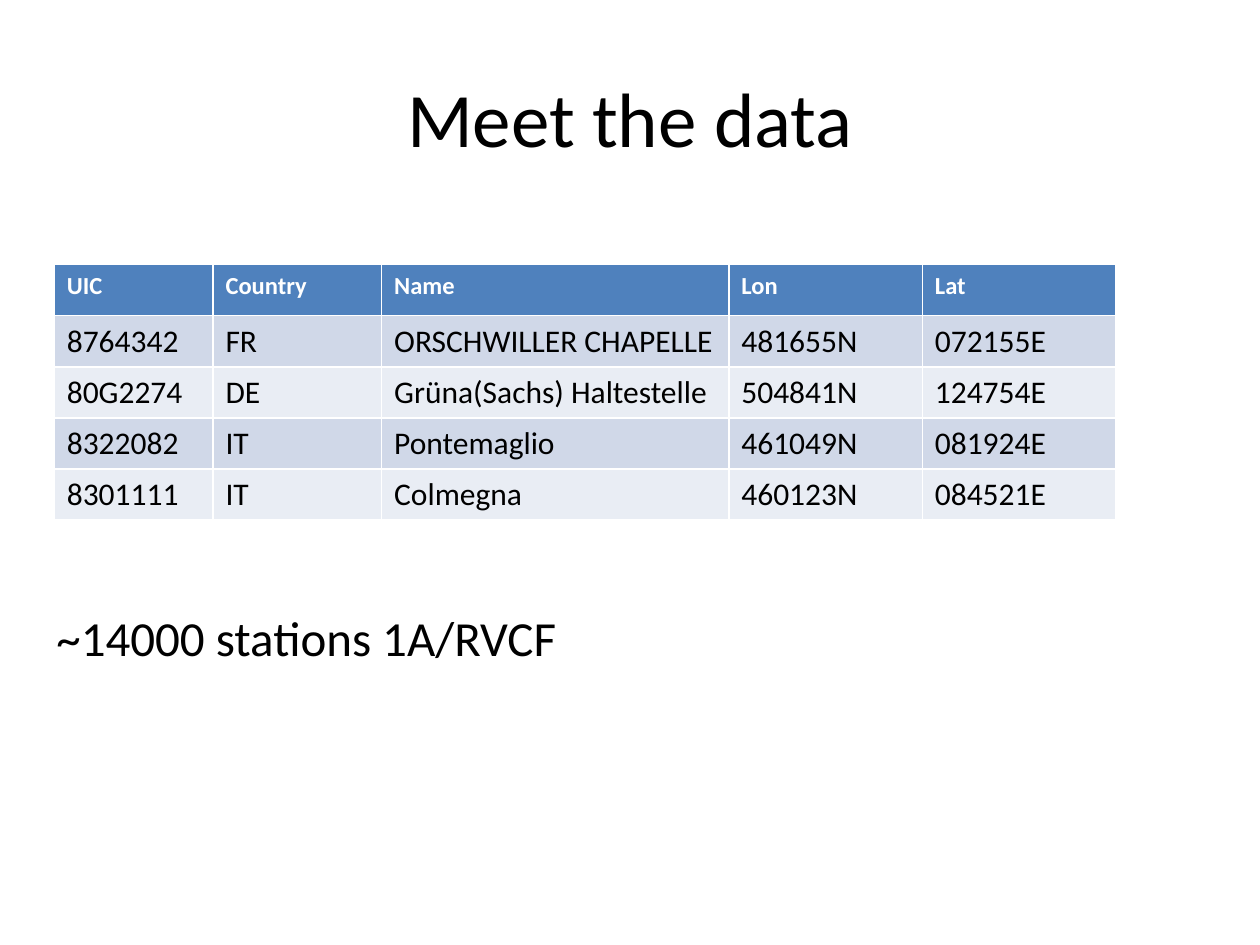
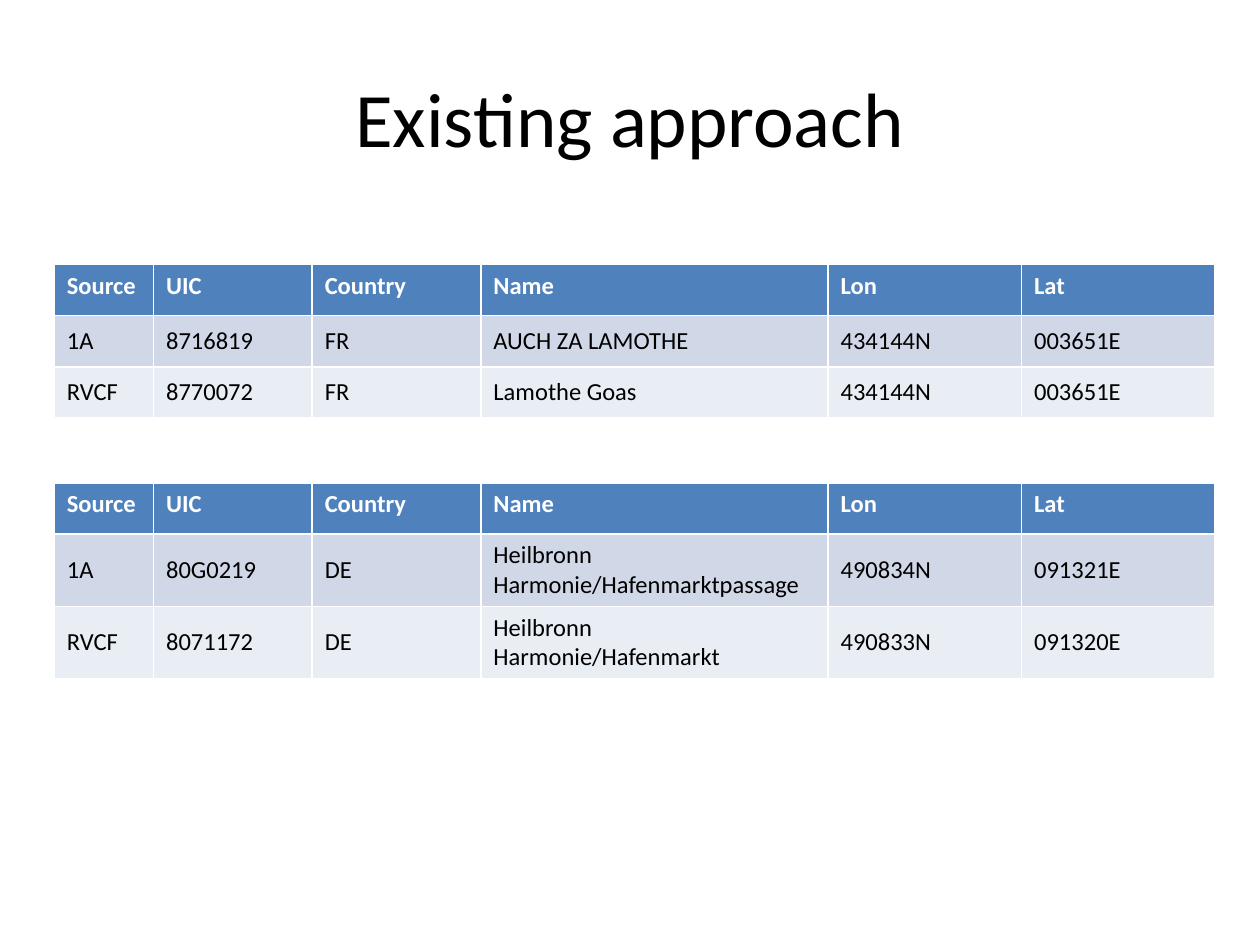
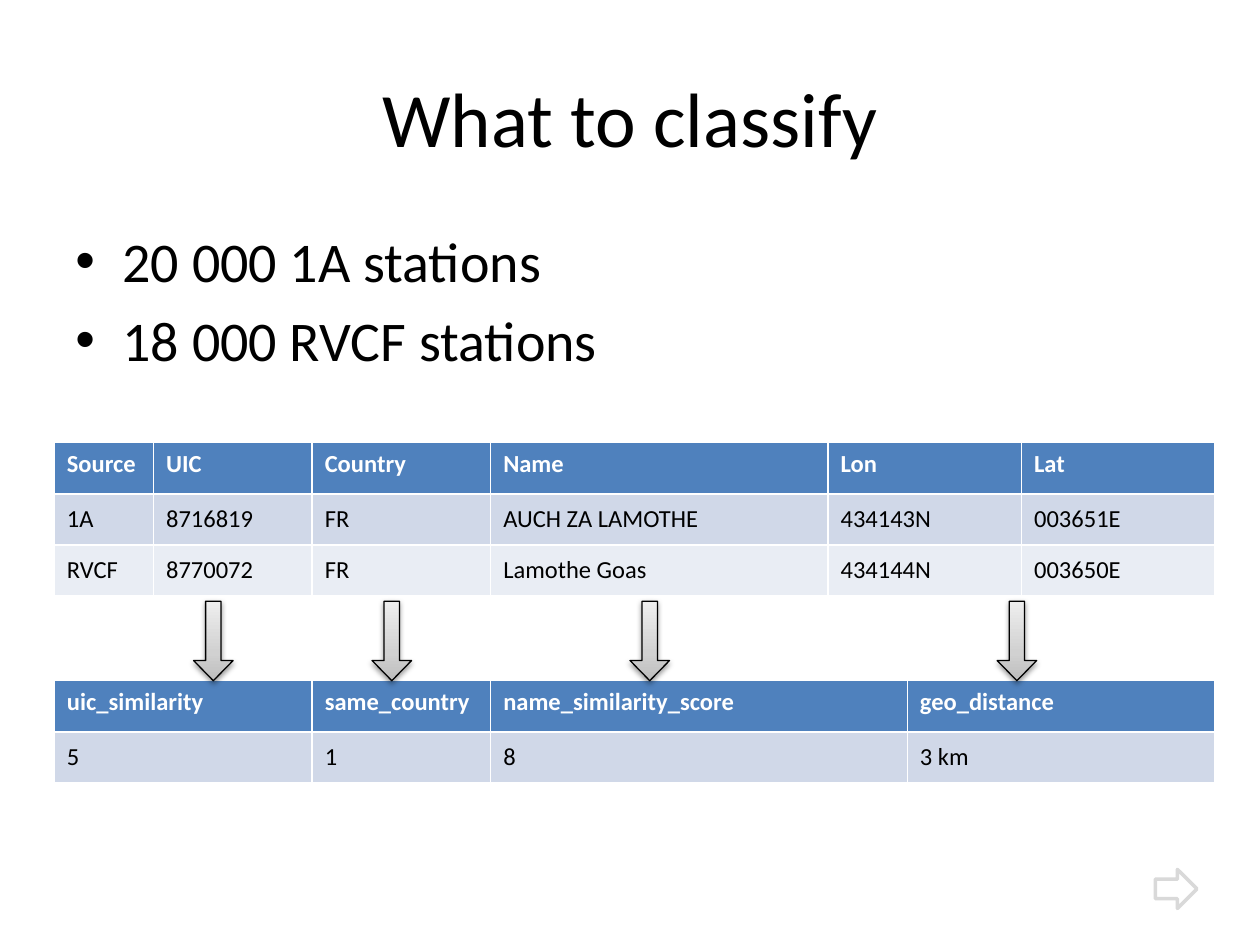
from dataclasses import dataclass

from lxml.etree import SubElement
from pptx import Presentation
from pptx.dml.color import RGBColor
from pptx.enum.shapes import MSO_SHAPE as Preset
from pptx.enum.text import MSO_ANCHOR as Anchor, MSO_AUTO_SIZE as AutoSize, PP_ALIGN as Align
from pptx.oxml.ns import qn
from pptx.shapes.autoshape import Shape
from pptx.slide import Slide
from pptx.util import Pt

BLACK = RGBColor(0x00, 0x00, 0x00)
WHITE = RGBColor(0xFF, 0xFF, 0xFF)
HEADER_BLUE = RGBColor(0x4F, 0x81, 0xBD)
BAND_DARK = RGBColor(0xD0, 0xD8, 0xE8)
BAND_LIGHT = RGBColor(0xE9, 0xED, 0xF4)
PALE_GREY = RGBColor(0xD9, 0xD9, 0xD9)
ARROW_GRADIENT = (
    (0, RGBColor(0xBD, 0xBD, 0xBD)),
    (35, RGBColor(0xD1, 0xD1, 0xD1)),
    (100, RGBColor(0xEE, 0xEE, 0xEE)),
)
FONT = "Calibri"

TABLE_LEFT = 31
ROW_HEIGHT = 29.2
SOURCE, UIC, COUNTRY, NAME, COORDINATE = 56.7, 90.7, 96.4, 198.4, 110.6
WIDE_COUNTRY, NARROW_NAME = 102, 192.8
STATION_WIDTHS = (UIC, COUNTRY, NAME, COORDINATE, COORDINATE)
SOURCE_WIDTHS = (SOURCE, *STATION_WIDTHS)
CLASSIFY_WIDTHS = (SOURCE, UIC, WIDE_COUNTRY, NARROW_NAME, COORDINATE, COORDINATE)
FEATURE_WIDTHS = (SOURCE + UIC, WIDE_COUNTRY, 238.1, 175.9)
STATION_HEADER = ("UIC", "Country", "Name", "Lon", "Lat")
SOURCE_HEADER = ("Source", *STATION_HEADER)


@dataclass(frozen=True)
class Box:
    left: float
    top: float
    width: float
    height: float

    def lengths(self) -> tuple[Pt, Pt, Pt, Pt]:
        return Pt(self.left), Pt(self.top), Pt(self.width), Pt(self.height)


@dataclass(frozen=True)
class Grid:
    top: float
    widths: tuple[float, ...]
    header: tuple[str, ...]
    rows: tuple[tuple[str, ...], ...]
    body_size: float = 14


TITLE_BOX = Box(36, 21.6, 648, 90)
COUNT_BOX = Box(25.2, 343.4, 304.6, 41)
BULLET_BOX = Box(36, 126, 648, 98.6)
NEXT_BOX = Box(660.2, 496.8, 23.8, 22.3)
ARROW_LEFTS = (110.6, 212.6, 360, 569.8)
ARROW_TOP, ARROW_WIDTH, ARROW_HEIGHT = 343.6, 22.6, 45.4

STATIONS = Grid(151.2, STATION_WIDTHS, STATION_HEADER, (
    ("8764342", "FR", "ORSCHWILLER CHAPELLE", "481655N", "072155E"),
    ("80G2274", "DE", "Grüna(Sachs) Haltestelle", "504841N", "124754E"),
    ("8322082", "IT", "Pontemaglio", "461049N", "081924E"),
    ("8301111", "IT", "Colmegna", "460123N", "084521E"),
), body_size=18)
LAMOTHE = Grid(151.2, SOURCE_WIDTHS, SOURCE_HEADER, (
    ("1A", "8716819", "FR", "AUCH ZA LAMOTHE", "434144N", "003651E"),
    ("RVCF", "8770072", "FR", "Lamothe Goas", "434144N", "003651E"),
))
HEILBRONN = Grid(276, SOURCE_WIDTHS, SOURCE_HEADER, (
    ("1A", "80G0219", "DE", "Heilbronn Harmonie/Hafenmarktpassage", "490834N", "091321E"),
    ("RVCF", "8071172", "DE", "Heilbronn Harmonie/Hafenmarkt", "490833N", "091320E"),
))
CANDIDATES = Grid(253, CLASSIFY_WIDTHS, SOURCE_HEADER, (
    ("1A", "8716819", "FR", "AUCH ZA LAMOTHE", "434143N", "003651E"),
    ("RVCF", "8770072", "FR", "Lamothe Goas", "434144N", "003650E"),
))
FEATURES = Grid(
    389,
    FEATURE_WIDTHS,
    ("uic_similarity", "same_country", "name_similarity_score", "geo_distance"),
    (("5", "1", "8", "3 km"),),
)


def format_runs(frame, size: float, color: RGBColor = BLACK, bold: bool = False) -> None:
    for para in frame.paragraphs:
        for span in para.runs:
            span.font.name = FONT
            span.font.size = Pt(size)
            span.font.bold = bold
            span.font.color.rgb = color


def add_titled_slide(deck, text: str) -> Slide:
    slide = deck.slides.add_slide(deck.slide_layouts[5])
    title = slide.shapes.title
    title.left, title.top, title.width, title.height = TITLE_BOX.lengths()
    frame = title.text_frame
    frame.text = text
    frame.vertical_anchor = Anchor.MIDDLE
    frame.paragraphs[0].alignment = Align.CENTER
    format_runs(frame, 44)
    return slide


def add_grid(slide: Slide, grid: Grid) -> None:
    lines = (grid.header, *grid.rows)
    box = Box(TABLE_LEFT, grid.top, sum(grid.widths), ROW_HEIGHT * len(lines))
    table = slide.shapes.add_table(len(lines), len(grid.widths), *box.lengths()).table
    for column, width in zip(table.columns, grid.widths):
        column.width = Pt(width)
    for index, (row, values) in enumerate(zip(table.rows, lines)):
        row.height = Pt(ROW_HEIGHT)
        is_header = index == 0
        band = BAND_DARK if index % 2 else BAND_LIGHT
        for cell, value in zip(row.cells, values):
            cell.text = value
            cell.fill.solid()
            cell.fill.fore_color.rgb = HEADER_BLUE if is_header else band
            if is_header:
                format_runs(cell.text_frame, 14, WHITE, True)
            else:
                cell.vertical_anchor = Anchor.MIDDLE
                format_runs(cell.text_frame, grid.body_size)


def add_count(slide: Slide, text: str) -> None:
    frame = slide.shapes.add_textbox(*COUNT_BOX.lengths()).text_frame
    frame.word_wrap = False
    frame.auto_size = AutoSize.SHAPE_TO_FIT_TEXT
    frame.text = text
    format_runs(frame, 28)


def add_bullets(slide: Slide, lines: tuple[str, ...]) -> None:
    frame = slide.shapes.add_textbox(*BULLET_BOX.lengths()).text_frame
    frame.word_wrap = True
    frame.text = "\n".join(lines)
    format_runs(frame, 32)
    for para in frame.paragraphs:
        para.space_before = Pt(6.4)
        properties = para._p.get_or_add_pPr()
        properties.set("marL", str(Pt(27)))
        properties.set("indent", str(Pt(-27)))
        SubElement(properties, qn("a:buFont"), typeface="Arial")
        SubElement(properties, qn("a:buChar"), char="•")


def add_arrow(slide: Slide, preset: Preset, box: Box, line: RGBColor, weight: float) -> Shape:
    arrow = slide.shapes.add_shape(preset, *box.lengths())
    arrow.shadow.inherit = False
    arrow.fill.solid()
    arrow.fill.fore_color.rgb = WHITE
    arrow.line.color.rgb = line
    arrow.line.width = Pt(weight)
    return arrow


def add_feature_arrow(slide: Slide, left: float) -> None:
    box = Box(left, ARROW_TOP, ARROW_WIDTH, ARROW_HEIGHT)
    arrow = add_arrow(slide, Preset.DOWN_ARROW, box, BLACK, 0.75)
    arrow.adjustments[0] = 0.39
    arrow.adjustments[1] = 0.51
    arrow.fill.gradient()
    arrow.fill.gradient_angle = 90
    properties = arrow._element.spPr
    stops = properties.find(qn("a:gradFill")).find(qn("a:gsLst"))
    for stop in list(stops):
        stops.remove(stop)
    for position, color in ARROW_GRADIENT:
        stop = SubElement(stops, qn("a:gs"), pos=str(position * 1000))
        SubElement(stop, qn("a:srgbClr"), val=str(color))
    shadow = SubElement(
        properties.find(qn("a:effectLst")), qn("a:outerShdw"),
        blurRad=str(Pt(3.1)), dist=str(Pt(1.6)), dir="5400000", rotWithShape="0",
    )
    shade = SubElement(shadow, qn("a:srgbClr"), val=str(BLACK))
    SubElement(shade, qn("a:alpha"), val="38000")


def main() -> None:
    """Build the three station-matching slides."""
    deck = Presentation()
    deck.slide_width, deck.slide_height = Pt(720), Pt(540)

    data_slide = add_titled_slide(deck, "Meet the data")
    add_grid(data_slide, STATIONS)
    add_count(data_slide, "~14000 stations 1A/RVCF")

    approach_slide = add_titled_slide(deck, "Existing approach")
    for grid in (LAMOTHE, HEILBRONN):
        add_grid(approach_slide, grid)

    classify_slide = add_titled_slide(deck, "What to classify")
    add_bullets(classify_slide, ("20 000 1A stations", "18 000 RVCF stations"))
    for grid in (CANDIDATES, FEATURES):
        add_grid(classify_slide, grid)
    for left in ARROW_LEFTS:
        add_feature_arrow(classify_slide, left)
    add_arrow(classify_slide, Preset.RIGHT_ARROW, NEXT_BOX, PALE_GREY, 2)

    deck.save("out.pptx")


if __name__ == "__main__":
    main()
